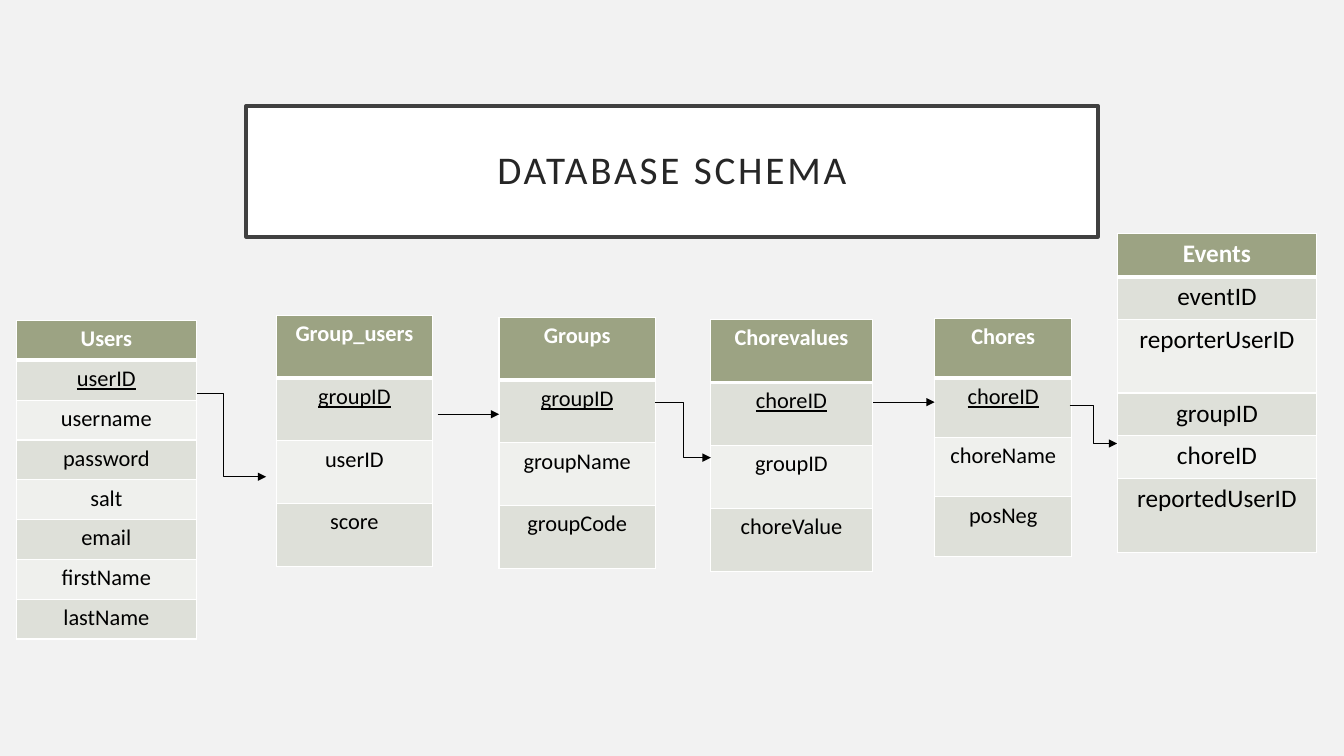
import pptx
import pptx.util
import pptx.dml.color
import pptx.enum.shapes
import pptx.enum.text
import pptx.oxml
import pptx.oxml.ns
from pptx.util import Inches, Pt

THEME = {
    "font": "Calibri", "back": "F2F2F2", "white": "FFFFFF", "frame": "404040",
    "title": "262626", "ink": "000000", "head": "9CA383",
    "bands": ("DEE0D9", "EFF0ED"),
    "title_size": 28, "size": 16, "big": 18,
}
TITLE = "DATABASE SCHEMA"

# name, fields, left, top, width, row heights, text size, first field is a key
BACK = [
    ("Chores", ["choreID", "choreName", "posNeg"],
     9.27, 3.16, 1.36, [0.59] * 4, "size", True),
    ("Chorevalues", ["choreID", "groupID", "choreValue"],
     7.05, 3.17, 1.6, [0.625] * 4, "size", True),
    ("Groups", ["groupID", "groupName", "groupCode"],
     4.95, 3.15, 1.55, [0.622] * 4, "size", True),
]
FRONT = [
    ("Group_users", ["groupID", "userID", "score"],
     2.74, 3.13, 1.55, [0.622] * 4, "size", True),
    ("Events", ["eventID", "reporterUserID", "groupID", "choreID", "reportedUserID"],
     11.08, 2.32, 1.98, [0.425, 0.425, 0.73, 0.425, 0.425, 0.73], "big", False),
    ("Users", ["userID", "username", "password", "salt", "email",
               "firstName", "lastName"],
     0.16, 3.18, 1.79, [0.395] * 8, "size", True),
]
# start x, start y, end x, end y
LINKS = [
    (4.34, 4.11, 4.95, 4.11),
    (1.79, 3.9, 2.64, 4.73),
    (6.5, 3.99, 7.05, 4.54),
    (8.66, 3.99, 9.27, 3.99),
    (10.61, 4.02, 11.08, 4.4),
]


def color(key):
    return pptx.dml.color.RGBColor.from_string(THEME.get(key, key))


def paint(fill, key):
    fill.solid()
    fill.fore_color.rgb = color(key)


def write(frame, text, size, ink, bold=False, under=False):
    """Set one centred line of text and return its run."""
    frame.text = text
    line = frame.paragraphs[0]
    line.alignment = pptx.enum.text.PP_ALIGN.CENTER
    run = line.runs[0]
    font = run.font
    font.name, font.size = THEME["font"], Pt(THEME[size])
    font.color.rgb = color(ink)
    font.bold, font.underline = bold, under
    return run


def edge(cell, widths):
    """Give a cell white borders: left, right, top, bottom in points."""
    props = cell._tc.get_or_add_tcPr()
    for i, (side, width) in enumerate(zip("LRTB", widths)):
        props.insert(i, pptx.oxml.parse_xml(
            f'<a:ln{side} {pptx.oxml.ns.nsdecls("a")} w="{Pt(width)}">'
            f'<a:solidFill><a:srgbClr val="{THEME["white"]}"/></a:solidFill>'
            f'</a:ln{side}>'))


def add_entity(slide, name, fields, left, top, width, rows, size, key):
    table = slide.shapes.add_table(
        len(rows), 1, Inches(left), Inches(top),
        Inches(width), Inches(sum(rows))).table
    for i, (text, height) in enumerate(zip([name] + fields, rows)):
        table.rows[i].height = Inches(height)
        cell = table.cell(i, 0)
        head = i == 0
        write(cell.text_frame, text, size, "white" if head else "ink",
              head, key and i == 1)
        paint(cell.fill, "head" if head else THEME["bands"][(i - 1) % 2])
        edge(cell, (1, 1, 3 if i == 1 else 1, 3 if head else 1))


def add_link(slide, x1, y1, x2, y2):
    kinds = pptx.enum.shapes.MSO_CONNECTOR
    kind = kinds.STRAIGHT if y1 == y2 else kinds.ELBOW
    link = slide.shapes.add_connector(
        kind, Inches(x1), Inches(y1), Inches(x2), Inches(y2))
    link.line.color.rgb = color("ink")
    link.line.width = Pt(0.5)
    space = pptx.oxml.ns.nsdecls("a")
    link.line._get_or_add_ln().append(
        pptx.oxml.parse_xml(f'<a:tailEnd {space} type="triangle"/>'))
    link._element.spPr.append(pptx.oxml.parse_xml(f'<a:effectLst {space}/>'))


def add_title(slide):
    box = slide.shapes.add_shape(
        pptx.enum.shapes.MSO_SHAPE.RECTANGLE,
        Inches(2.44), Inches(1.05), Inches(8.45), Inches(1.3))
    box.shadow.inherit = False
    paint(box.fill, "white")
    box.line.color.rgb = color("frame")
    box.line.width = Pt(2.5)
    frame = box.text_frame
    frame.word_wrap = True
    frame.vertical_anchor = pptx.enum.text.MSO_ANCHOR.MIDDLE
    run = write(frame, TITLE, "title_size", "title")
    run._r.get_or_add_rPr().set("spc", "200")
    frame.paragraphs[0].line_spacing = 0.9


def main():
    deck = pptx.Presentation()
    deck.slide_width, deck.slide_height = Inches(13.33), Inches(7.5)
    slide = deck.slides.add_slide(deck.slide_layouts[6])
    paint(slide.background.fill, "back")
    add_title(slide)
    for entity in BACK:
        add_entity(slide, *entity)
    for link in LINKS:
        add_link(slide, *link)
    for entity in FRONT:
        add_entity(slide, *entity)
    deck.save("out.pptx")


if __name__ == "__main__":
    main()
